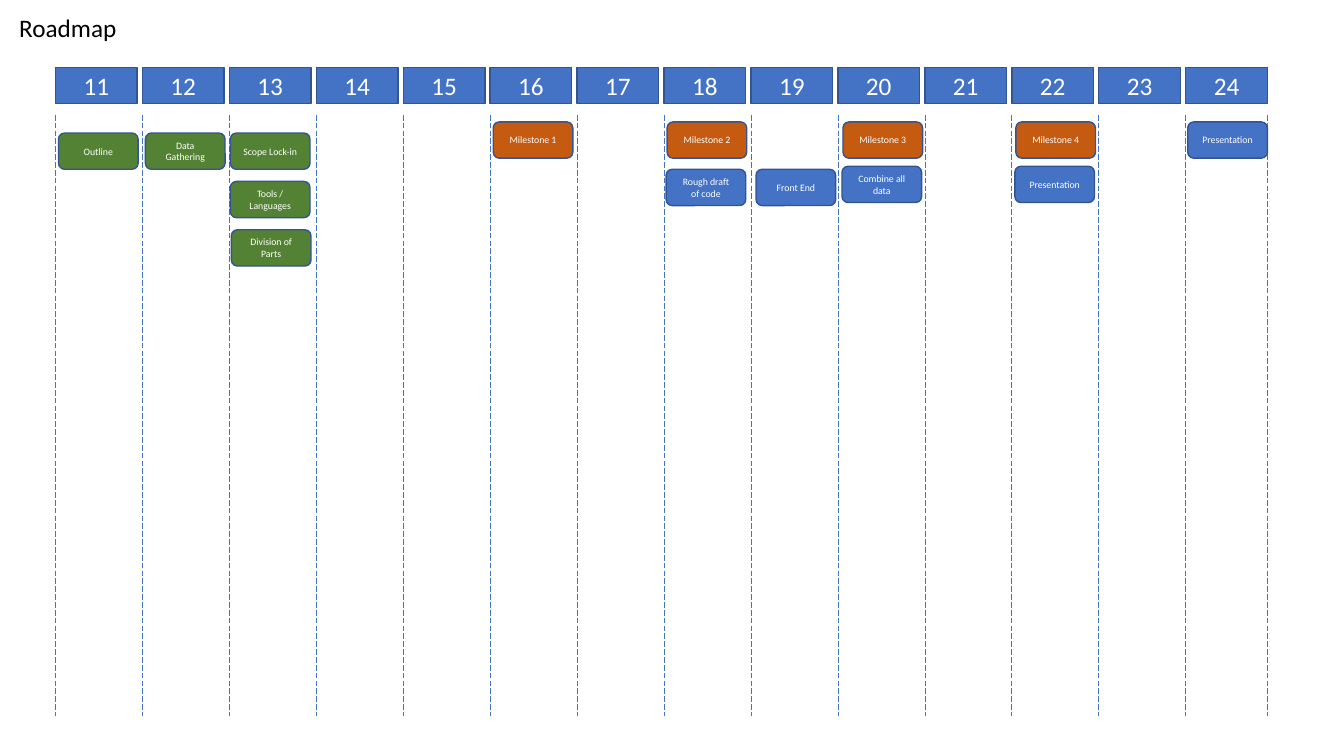
import pptx
import pptx.util
import pptx.dml.color
import pptx.enum.dml
import pptx.enum.shapes
import pptx.enum.text
import pptx.oxml.ns
import lxml.etree

TITLE = "Roadmap"
DAYS = list(range(11, 25))
CARDS = [
    (24, "Presentation", "task", 0.02, 1.21),
    (11, "Outline", "done", 0.03, 1.32),
    (13, "Scope Lock-in", "done", 0.01, 1.32),
    (13, "Tools / Languages", "done", 0.01, 1.8),
    (12, "Data Gathering", "done", 0.03, 1.32),
    (13, "Division of Parts", "done", 0.02, 2.28),
    (16, "Milestone 1", "milestone", 0.03, 1.21),
    (20, "Milestone 3", "milestone", 0.05, 1.21),
    (18, "Milestone 2", "milestone", 0.03, 1.21),
    (22, "Milestone 4", "milestone", 0.04, 1.21),
    (18, "Rough draft of code", "task", 0.02, 1.68),
    (22, "Presentation", "task", 0.03, 1.65),
    (20, "Combine all data", "task", 0.04, 1.65),
    (19, "Front End", "task", 0.05, 1.68),
]
THEME = {
    "font": "Calibri", "heading": 18, "label": 7,
    "text": "000000", "light": "FFFFFF", "edge": "325491",
    "task": "4472C4", "done": "548235", "milestone": "C55A11",
}

LEFT, RIGHT = 0.55, 12.57
DAY_W, CARD_W, BOX_H = 0.81, 0.79, 0.36
DAY_TOP, LINE_TOP, LINE_END = 0.67, 1.14, 7.1
PITCH = (RIGHT - DAY_W - LEFT) / (len(DAYS) - 1)

Inches, Pt = pptx.util.Inches, pptx.util.Pt
MSO_SHAPE = pptx.enum.shapes.MSO_SHAPE
ANCHOR = pptx.enum.text.MSO_ANCHOR
ALIGN = pptx.enum.text.PP_ALIGN


def color(name):
    return pptx.dml.color.RGBColor.from_string(THEME[name])


def day_x(day):
    return LEFT + PITCH * (day - DAYS[0])


def write(sp, text, size="label", fill="light", align=ALIGN.CENTER, anchor=ANCHOR.MIDDLE):
    tf = sp.text_frame
    tf.word_wrap = True
    tf.auto_size = pptx.enum.text.MSO_AUTO_SIZE.NONE
    tf.vertical_anchor = anchor
    tf.margin_left = tf.margin_right = Inches(0.1)
    tf.margin_top = tf.margin_bottom = Inches(0.05)
    p = tf.paragraphs[0]
    p.alignment = align
    p.line_spacing = 1.0
    p.space_before = Pt(0)
    r = p.add_run()
    r.text = text
    r.font.name = THEME["font"]
    r.font.size = Pt(THEME[size])
    r.font.color.rgb = color(fill)


def add_box(shapes, kind, x, y, w, fill, text, **fmt):
    sp = shapes.add_shape(kind, Inches(x), Inches(y), Inches(w), Inches(BOX_H))
    sp.shadow.inherit = False
    sp.fill.solid()
    sp.fill.fore_color.rgb = color(fill)
    sp.line.color.rgb = color("edge")
    sp.line.width = Pt(1)
    write(sp, text, **fmt)


def add_divider(shapes, x):
    line = shapes.add_connector(pptx.enum.shapes.MSO_CONNECTOR.STRAIGHT,
                                Inches(x), Inches(LINE_TOP), Inches(x), Inches(LINE_END))
    line.line.color.rgb = color("task")
    line.line.width = Pt(0.5)
    line.line.dash_style = pptx.enum.dml.MSO_LINE.LONG_DASH
    lxml.etree.SubElement(line._element.spPr, pptx.oxml.ns.qn("a:effectLst"))


prs = pptx.Presentation()
prs.slide_width, prs.slide_height = Inches(13.33), Inches(7.5)
s = prs.slides.add_slide(prs.slide_layouts[5])

title = s.shapes.title
title.left, title.top = Inches(0.09), Inches(0.07)
title.width, title.height = Inches(1.72), Inches(0.4)
write(title, TITLE, size="heading", fill="text", align=ALIGN.LEFT, anchor=ANCHOR.TOP)

header = s.shapes.add_group_shape()
for day in DAYS:
    add_box(header.shapes, MSO_SHAPE.RECTANGLE, day_x(day), DAY_TOP, DAY_W, "task",
            str(day), size="heading")

dividers = s.shapes.add_group_shape()
for x in [day_x(day) for day in DAYS] + [RIGHT]:
    add_divider(dividers.shapes, x)

for day, text, kind, nudge, top in CARDS:
    add_box(s.shapes, MSO_SHAPE.ROUNDED_RECTANGLE, day_x(day) + nudge, top, CARD_W, kind, text)

prs.save("out.pptx")
